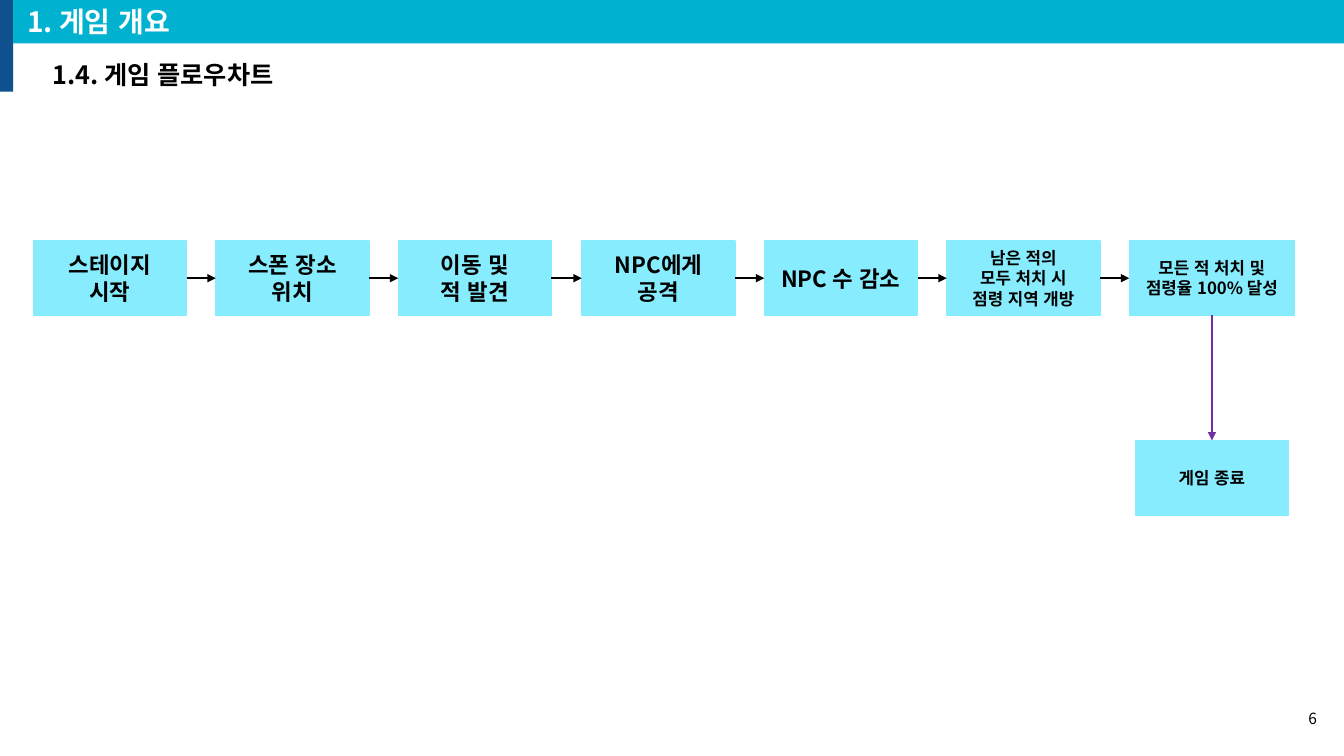
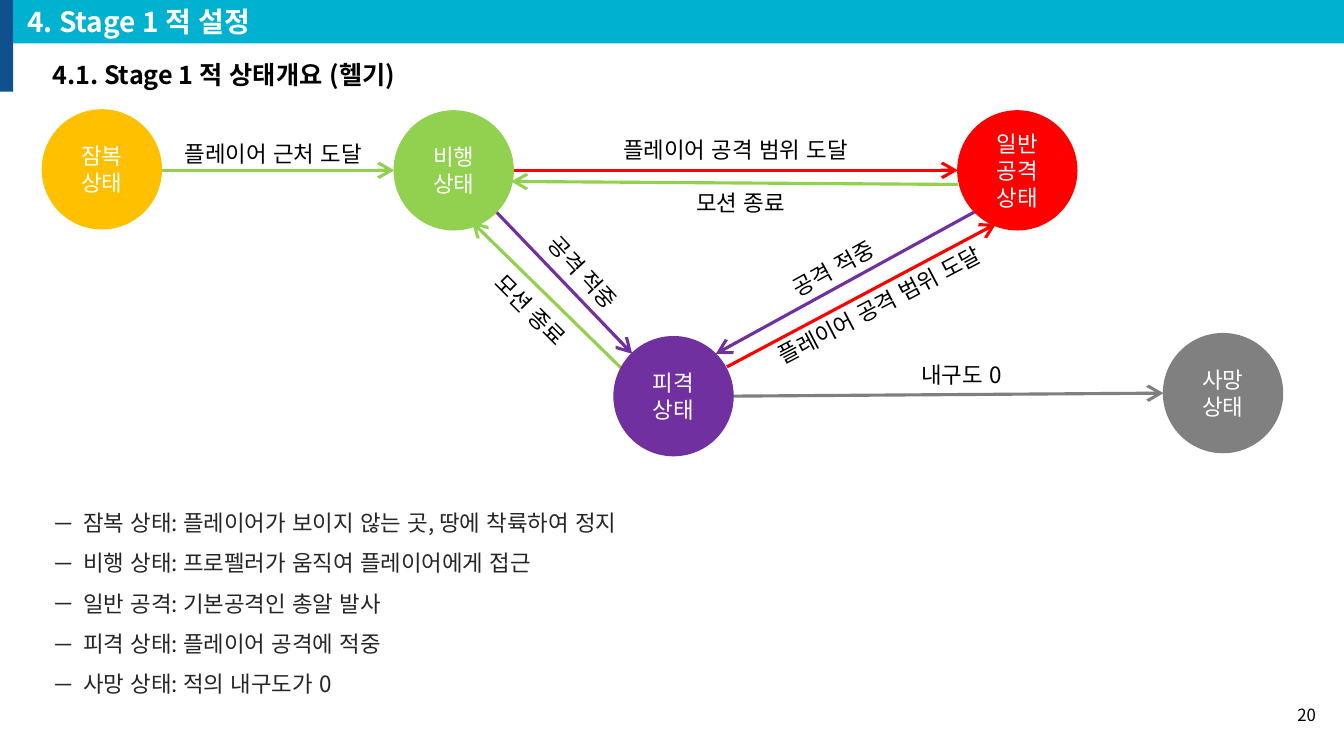
"""Build the game flowchart slide and the enemy state diagram slide."""
from dataclasses import dataclass

from lxml import etree
from pptx import Presentation
from pptx import util as u
from pptx.dml.color import RGBColor
from pptx.enum import lang, shapes, text
from pptx.oxml.ns import qn

PX = u.Inches(1) // 100
FONT = "Noto Sans CJK KR"
COLORS = {
    "band": "01B1D0", "tab": "0F518E", "step": "87EDFE",
    "black": "000000", "white": "FFFFFF", "body": "262626",
    "amber": "FFC000", "green": "92D050", "red": "FF0000",
    "purple": "7030A0", "gray": "808080", "gray_line": "7F7F7F",
}
Box = tuple[int, int, int, int]
Point = tuple[int, int]


@dataclass(frozen=True)
class Style:
    size: int
    color: str = "black"
    bold: bool = False
    align: text.PP_ALIGN = text.PP_ALIGN.CENTER
    anchor: text.MSO_ANCHOR = text.MSO_ANCHOR.MIDDLE
    indent: int = 0
    bullet: str = ""
    spacing: float = 1.0


@dataclass(frozen=True)
class ArrowStyle:
    width: float
    head: str
    head_size: str


@dataclass(frozen=True)
class Page:
    section: str
    heading: str
    heading_width: int
    number: str
    number_at: Point
    number_size: int


@dataclass(frozen=True)
class Step:
    label: str
    size: int = 16
    width: int = 152


@dataclass(frozen=True)
class State:
    label: str
    at: Point
    color: str


@dataclass(frozen=True)
class Transition:
    label: str
    start: Point
    end: Point
    color: str
    label_box: Box
    angle: float = 0


SECTION = Style(20, "white", True, text.PP_ALIGN.LEFT, indent=4)
HEADING = Style(18, "black", True, text.PP_ALIGN.LEFT, text.MSO_ANCHOR.TOP)
LABEL = Style(16, anchor=text.MSO_ANCHOR.TOP)
STATE = Style(16, "white")
NOTES = Style(16, "body", False, text.PP_ALIGN.LEFT, text.MSO_ANCHOR.TOP, 31, "－", 1.5)
FLOW_ARROW = ArrowStyle(1.5, "triangle", "med")
STATE_ARROW = ArrowStyle(2.25, "arrow", "lg")

FLOW_PAGE = Page("1. 게임 개요", "1.4. 게임 플로우차트", 282, "6", (1273, 693), 11)
STEP_LEFT, STEP_TOP, STEP_HEIGHT, STEP_PITCH = 33, 239, 74, 181.2
END_TOP = 437
STEPS = [
    Step("스테이지\n시작"),
    Step("스폰 장소\n위치"),
    Step("이동 및\n적 발견"),
    Step("NPC에게\n공격"),
    Step("NPC 수 감소"),
    Step("남은 적의\n모두 처치 시\n점령 지역 개방", 12),
    Step("모든 적 처치 및\n점령율 100% 달성", 12, 164),
]
GAME_END = Step("게임 종료", 12)

STATE_PAGE = Page("4. Stage 1 적 설정", "4.1. Stage 1 적 상태개요 (헬기)", 408, "20", (1272, 689), 12)
DIAMETER = 118
STATES = [
    State("잠복\n상태", (42, 109), "amber"),
    State("비행\n상태", (391, 110), "green"),
    State("일반 공격\n상태", (950, 110), "red"),
    State("피격\n상태", (609, 334), "purple"),
    State("사망\n상태", (1154, 331), "gray"),
]
TRANSITIONS = [
    Transition("플레이어 근처 도달", (161, 169), (391, 169), "green", (163, 134, 216, 37)),
    Transition("플레이어 공격 범위 도달", (509, 169), (950, 169), "red", (502, 130, 455, 37)),
    Transition("모션 종료", (950, 183), (507, 180), "green", (516, 183, 437, 37)),
    Transition("공격 적중", (492, 210), (627, 351), "purple", (452, 252, 252, 37), 47.4),
    Transition("모션 종료", (619, 368), (468, 220), "green", (433, 289, 187, 37), 45),
    Transition("공격 적중", (967, 210), (710, 351), "purple", (675, 248, 303, 37), 331),
    Transition("플레이어 공격 범위 도달", (721, 364), (988, 222), "red", (735, 284, 274, 37), 332.3),
    Transition("내구도 0", (727, 393), (1154, 390), "gray_line", (860, 353, 187, 37)),
]
STATE_NOTES = """잠복 상태: 플레이어가 보이지 않는 곳, 땅에 착륙하여 정지
비행 상태: 프로펠러가 움직여 플레이어에게 접근
일반 공격: 기본공격인 총알 발사
피격 상태: 플레이어 공격에 적중
사망 상태: 적의 내구도가 0"""


def emu(*lengths: int) -> list[int]:
    return [length * PX for length in lengths]


def rgb(color: str) -> RGBColor:
    return RGBColor.from_string(COLORS[color])


def write(shape, content: str, style: Style) -> None:
    frame = shape.text_frame
    frame.word_wrap = True
    frame.vertical_anchor = style.anchor
    frame.text = content
    for paragraph in frame.paragraphs:
        paragraph.alignment = style.align
        paragraph.line_spacing = style.spacing
        properties = paragraph._p.get_or_add_pPr()
        if style.indent:
            properties.set("marL", str(style.indent * PX))
        if style.bullet:
            properties.set("indent", str(-style.indent * PX))
            etree.SubElement(properties, qn("a:buFont"), typeface=FONT)
            etree.SubElement(properties, qn("a:buChar"), char=style.bullet)
        for run in paragraph.runs:
            run.font.size = u.Pt(style.size)
            run.font.bold = style.bold
            run.font.color.rgb = rgb(style.color)
            run.font.name = FONT
            run.font.language_id = lang.MSO_LANGUAGE_ID.KOREAN
            etree.SubElement(run._r.get_or_add_rPr(), qn("a:ea"), typeface=FONT)


def add_text(slide, box: Box, content: str, style: Style, angle: float = 0) -> None:
    label = slide.shapes.add_textbox(*emu(*box))
    label.rotation = angle
    write(label, content, style)


def add_filled(slide, kind: shapes.MSO_SHAPE, box: Box, color: str, outlined: bool = True):
    shape = slide.shapes.add_shape(kind, *emu(*box))
    shape.shadow.inherit = False
    shape.fill.solid()
    shape.fill.fore_color.rgb = rgb(color)
    if outlined:
        shape.line.color.rgb = rgb(color)
        shape.line.width = u.Pt(1)
    else:
        shape.line.fill.background()
    return shape


def add_arrow(slide, start: Point, end: Point, color: str, style: ArrowStyle):
    arrow = slide.shapes.add_connector(shapes.MSO_CONNECTOR.STRAIGHT, *emu(*start, *end))
    arrow.line.color.rgb = rgb(color)
    arrow.line.width = u.Pt(style.width)
    properties = arrow._element.spPr
    etree.SubElement(properties.find(qn("a:ln")), qn("a:tailEnd"),
                     type=style.head, w=style.head_size, len=style.head_size)
    etree.SubElement(properties, qn("a:effectLst"))
    return arrow


def add_page(deck, page: Page):
    slide = deck.slides.add_slide(deck.slide_layouts[6])
    add_filled(slide, shapes.MSO_SHAPE.RECTANGLE, (0, 0, 13, 91), "tab", False)
    band = add_filled(slide, shapes.MSO_SHAPE.RECTANGLE, (13, 0, 1320, 43), "band", False)
    write(band, page.section, SECTION)
    add_text(slide, (42, 54, page.heading_width, 40), page.heading, HEADING)
    add_text(slide, (*page.number_at, 43, 40), page.number,
             Style(page.number_size, align=text.PP_ALIGN.RIGHT))
    return slide


def add_step(slide, step: Step, left: int, top: int):
    box = (left, top, step.width, STEP_HEIGHT)
    shape = add_filled(slide, shapes.MSO_SHAPE.RECTANGLE, box, "step")
    write(shape, step.label, Style(step.size, bold=True))
    return shape


def join(slide, source, source_side: int, target, target_side: int, color: str) -> None:
    arrow = add_arrow(slide, (0, 0), (0, 0), color, FLOW_ARROW)
    arrow.begin_connect(source, source_side)
    arrow.end_connect(target, target_side)


def build_flowchart(deck) -> None:
    slide = add_page(deck, FLOW_PAGE)
    lefts = [round(STEP_LEFT + index * STEP_PITCH) for index in range(len(STEPS))]
    steps = [add_step(slide, step, left, STEP_TOP) for step, left in zip(STEPS, lefts)]
    for source, target in zip(steps, steps[1:]):
        join(slide, source, 3, target, 1, "black")
    end_left = lefts[-1] + (STEPS[-1].width - GAME_END.width) // 2
    game_end = add_step(slide, GAME_END, end_left, END_TOP)
    join(slide, steps[-1], 2, game_end, 0, "purple")


def build_states(deck) -> None:
    slide = add_page(deck, STATE_PAGE)
    add_text(slide, (42, 487, 1263, 207), STATE_NOTES, NOTES)
    for move in TRANSITIONS:
        add_arrow(slide, move.start, move.end, move.color, STATE_ARROW)
        add_text(slide, move.label_box, move.label, LABEL, move.angle)
    for state in STATES:
        box = (*state.at, DIAMETER, DIAMETER)
        circle = add_filled(slide, shapes.MSO_SHAPE.OVAL, box, state.color)
        write(circle, state.label, STATE)


def main() -> None:
    deck = Presentation()
    deck.slide_width, deck.slide_height = emu(1333, 750)
    build_flowchart(deck)
    build_states(deck)
    deck.save("out.pptx")


if __name__ == "__main__":
    main()
